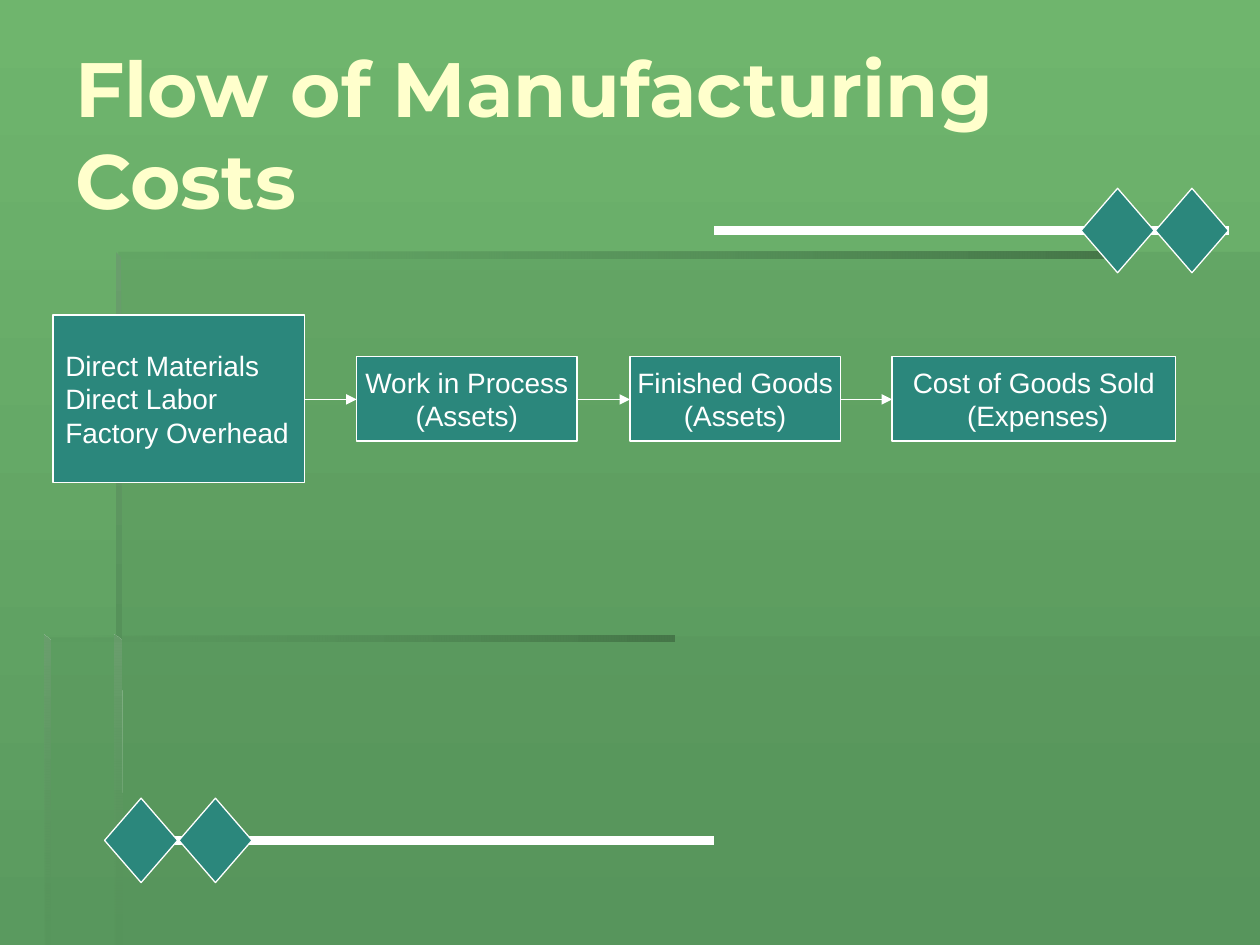
import pptx
import pptx.dml.color
import pptx.enum.shapes
import pptx.enum.text
import pptx.oxml.ns
import pptx.util
from lxml import etree

Inches = pptx.util.Inches
Pt = pptx.util.Pt
RGBColor = pptx.dml.color.RGBColor
qn = pptx.oxml.ns.qn
MSO_SHAPE = pptx.enum.shapes.MSO_SHAPE
PP_ALIGN = pptx.enum.text.PP_ALIGN

WHITE = RGBColor(0xFF, 0xFF, 0xFF)
CREAM = RGBColor(0xFF, 0xFF, 0xCC)
TEAL = RGBColor(0x2B, 0x87, 0x7C)
LIGHT_GREEN = RGBColor(0x6F, 0xB5, 0x6D)
DEEP_GREEN = RGBColor(0x5A, 0x9A, 0x5F)
PANEL_GREEN = RGBColor(0x56, 0x92, 0x5A)
SHADE_GREEN = RGBColor(0x46, 0x77, 0x49)
EDGE_GREEN = RGBColor(0x6A, 0x9E, 0x6D)

DOWNWARD, LEFTWARD = 270, 180
DIAMOND_SIZE = (0.58, 0.67)
FLOW_MIDDLE = 3.17

PANELS = [
    [(0.92, 5.05), (0.92, 7.5), (10, 7.5), (10, 5.05)],
    [(0.94, 5.06), (0.36, 5.06), (0.36, 7.5), (10, 7.5), (10, 2), (0.94, 2)],
]

# outline, start colour, gradient angle, opacity of the end colour
BEVELS = [
    ([(0.92, 2), (0.92, 2.05), (8.91, 2.05), (8.91, 2)],
     SHADE_GREEN, LEFTWARD, 0),
    ([(0.92, 2), (0.92, 5.1), (0.97, 5.1), (0.96, 2.04)],
     EDGE_GREEN, DOWNWARD, 100),
    ([(0.91, 7.5), (0.97, 7.5), (0.96, 5.08), (0.91, 5.04)],
     EDGE_GREEN, DOWNWARD, 0),
    ([(0.35, 5.04), (0.35, 5.09), (5.35, 5.09), (5.35, 5.04)],
     SHADE_GREEN, LEFTWARD, 0),
    ([(0.35, 5.04), (0.35, 7.5), (0.4, 7.5), (0.4, 5.09)],
     EDGE_GREEN, DOWNWARD, 10),
]

# left, top, width, height, alignment, lines
STAGES = [
    (0.42, 2.5, 2, 1.33, PP_ALIGN.LEFT,
     ["Direct Materials", "Direct Labor", "Factory Overhead"]),
    (2.83, 2.83, 1.75, 0.67, PP_ALIGN.CENTER,
     ["Work in Process", "(Assets)"]),
    (5, 2.83, 1.67, 0.67, PP_ALIGN.CENTER,
     ["Finished Goods", "(Assets)"]),
    (7.08, 2.83, 2.25, 0.67, PP_ALIGN.CENTER,
     ["Cost of Goods Sold", " (Expenses)"]),
]


def set_gradient(fill, start, end, angle):
    fill.gradient()
    fill.gradient_angle = angle
    for stop, color in zip(fill.gradient_stops, (start, end)):
        stop.color.rgb = color


def set_end_opacity(shape, percent):
    """Set the opacity of the last colour in the shape's fill."""
    color = list(shape.element.spPr.iter(qn("a:srgbClr")))[-1]
    etree.SubElement(color, qn("a:alpha"), val=str(percent * 1000))


def add_outline(slide, points):
    corners = [(Inches(x), Inches(y)) for x, y in points]
    builder = slide.shapes.build_freeform(*corners[0])
    builder.add_line_segments(corners[1:], close=True)
    outline = builder.convert_to_shape()
    outline.shadow.inherit = False
    outline.line.fill.background()
    return outline


def add_panel(slide, points):
    panel = add_outline(slide, points)
    panel.fill.solid()
    panel.fill.fore_color.rgb = PANEL_GREEN
    set_end_opacity(panel, 30)


def add_bevel(slide, points, start, angle, end_opacity):
    bevel = add_outline(slide, points)
    set_gradient(bevel.fill, start, PANEL_GREEN, angle)
    if end_opacity < 100:
        set_end_opacity(bevel, end_opacity)


def add_teal_shape(slide, kind, left, top, width, height):
    shape = slide.shapes.add_shape(
        kind, Inches(left), Inches(top), Inches(width), Inches(height))
    shape.shadow.inherit = False
    shape.fill.solid()
    shape.fill.fore_color.rgb = TEAL
    shape.line.color.rgb = WHITE
    shape.line.width = Pt(0.75)
    return shape


def add_white_line(slide, start, end, y, weight):
    line = slide.shapes.add_connector(
        pptx.enum.shapes.MSO_CONNECTOR.STRAIGHT,
        Inches(start), Inches(y), Inches(end), Inches(y))
    line.line.color.rgb = WHITE
    line.line.width = Pt(weight)
    etree.SubElement(line.element.spPr, qn("a:effectLst"))
    return line


def add_arrow(slide, start, end):
    arrow = add_white_line(slide, start, end, FLOW_MIDDLE, 0.75)
    outline = arrow.element.spPr.find(qn("a:ln"))
    etree.SubElement(outline, qn("a:tailEnd"), type="triangle")


def add_ornament(slide, start, end, y, diamond_lefts):
    """Draw a thick rule with diamonds centred on it."""
    add_white_line(slide, start, end, y, 5)
    width, height = DIAMOND_SIZE
    for left in diamond_lefts:
        add_teal_shape(slide, MSO_SHAPE.DIAMOND,
                       left, y - height / 2, width, height)


def add_title(slide, text):
    title = slide.shapes.add_textbox(
        Inches(0.5), Inches(0.27), Inches(9.17), Inches(1.57))
    frame = title.text_frame
    frame.word_wrap = True
    frame.vertical_anchor = pptx.enum.text.MSO_ANCHOR.MIDDLE
    frame.text = text
    font = frame.paragraphs[0].font
    font.name, font.size, font.bold = "Montserrat", Pt(44), True
    font.color.rgb = CREAM


def add_stage(slide, left, top, width, height, alignment, lines):
    stage = add_teal_shape(slide, MSO_SHAPE.RECTANGLE,
                           left, top, width, height)
    frame = stage.text_frame
    frame.word_wrap = False
    frame.vertical_anchor = pptx.enum.text.MSO_ANCHOR.MIDDLE
    frame.text = "\n".join(lines)
    for paragraph in frame.paragraphs:
        paragraph.alignment = alignment
        paragraph.font.name = "Arial"
        paragraph.font.size = Pt(16)
        paragraph.font.color.rgb = WHITE


def main():
    presentation = pptx.Presentation()
    presentation.slide_width = Inches(10)
    presentation.slide_height = Inches(7.5)
    slide = presentation.slides.add_slide(presentation.slide_layouts[6])
    set_gradient(slide.background.fill, LIGHT_GREEN, DEEP_GREEN, DOWNWARD)

    for points in PANELS:
        add_panel(slide, points)
    for bevel in BEVELS:
        add_bevel(slide, *bevel)
    add_ornament(slide, 0.92, 5.67, 6.67, (0.83, 1.42))
    add_ornament(slide, 5.67, 9.75, 1.83, (8.58, 9.17))

    add_title(slide, "Flow of Manufacturing Costs")
    for stage in STAGES:
        add_stage(slide, *stage)
    for (left, _, width, *_), (next_left, *_) in zip(STAGES, STAGES[1:]):
        add_arrow(slide, left + width, next_left)

    presentation.save("out.pptx")


if __name__ == "__main__":
    main()
